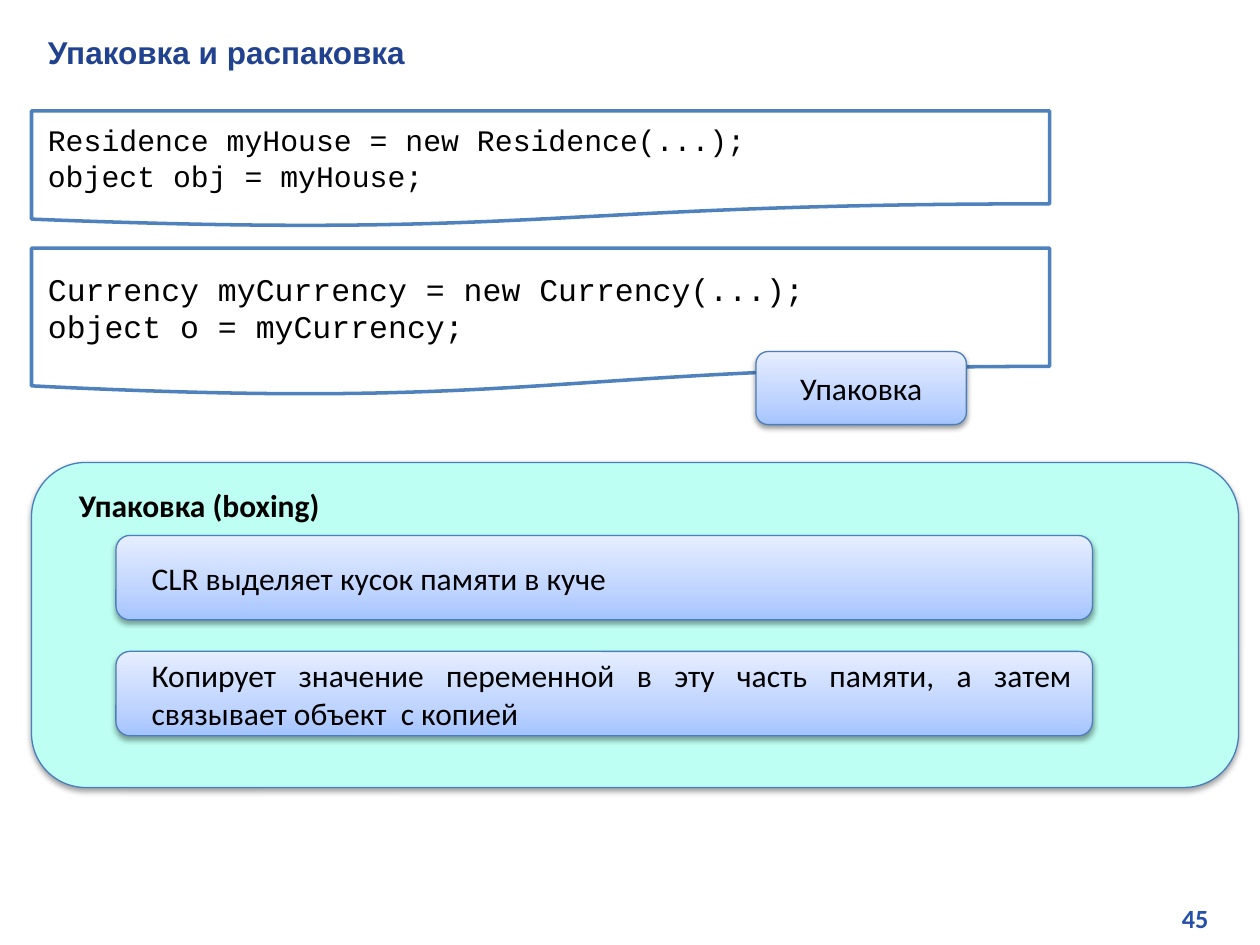
from copy import deepcopy

from lxml.etree import SubElement
from pptx import Presentation
from pptx.dml.color import RGBColor
from pptx.enum.shapes import MSO_SHAPE
from pptx.enum.text import MSO_ANCHOR, PP_ALIGN
from pptx.oxml.ns import qn
from pptx.util import Inches, Pt

COLORS = {
    "title": "21438F",
    "number": "2750AB",
    "text": "000000",
    "code_fill": "FFFFFF",
    "code_line": "4F81BD",
    "panel": "BDFFF2",
    "outline": "4B7EBC",
    "shadow": "000000",
    "gradient_dark": "A4C4FF",
    "gradient_middle": "BFD4FF",
    "gradient_light": "E6EEFF",
}
GRADIENT = [(0, "gradient_dark"), (0.35, "gradient_middle"), (1, "gradient_light")]


def color(name):
    """Return the named colour."""
    return RGBColor.from_string(COLORS[name])


def write(shape, lines, size=18, font="Calibri", ink="text", bold=False,
          align=PP_ALIGN.LEFT, anchor=MSO_ANCHOR.MIDDLE, indent=0):
    """Fill a shape with one formatted paragraph per line."""
    frame = shape.text_frame
    frame.word_wrap = True
    frame.vertical_anchor = anchor
    frame.margin_left = frame.margin_right = Inches(0.13)
    frame.margin_top = frame.margin_bottom = Inches(0.06)
    for index, line in enumerate(lines):
        paragraph = frame.add_paragraph() if index else frame.paragraphs[0]
        paragraph.alignment = align
        if indent:
            properties = paragraph._p.get_or_add_pPr()
            properties.set("marL", str(Inches(indent)))
            properties.set("indent", "0")
        run = paragraph.add_run()
        run.text = line
        run.font.name = font
        run.font.size = Pt(size)
        run.font.bold = bold
        run.font.color.rgb = color(ink)


def add_outlined(slide, kind, box, line, width):
    """Add a preset shape with an outline and no inherited shadow."""
    shape = slide.shapes.add_shape(kind, *map(Inches, box))
    shape.shadow.inherit = False
    shape.line.color.rgb = color(line)
    shape.line.width = Pt(width)
    return shape


def add_title(slide, box, text):
    """Place and format the slide title."""
    title = slide.shapes.title
    title.left, title.top, title.width, title.height = map(Inches, box)
    write(title, [text], font="Arial", ink="title", bold=True, anchor=MSO_ANCHOR.TOP)


def add_code(slide, box, lines, size):
    """Add a document shape holding lines of code."""
    shape = add_outlined(slide, MSO_SHAPE.FLOWCHART_DOCUMENT, box, "code_line", 2)
    shape.fill.solid()
    shape.fill.fore_color.rgb = color("code_fill")
    write(shape, lines, size=size, font="Courier New")


def add_rounded(slide, box):
    """Add a rounded rectangle with a soft shadow below it."""
    shape = add_outlined(slide, MSO_SHAPE.ROUNDED_RECTANGLE, box, "outline", 0.75)
    effects = shape._element.spPr.find(qn("a:effectLst"))
    shadow = SubElement(effects, qn("a:outerShdw"), blurRad=str(Pt(3.1)),
                        dist=str(Pt(1.6)), dir="5400000", rotWithShape="0")
    ink = SubElement(shadow, qn("a:srgbClr"), val=COLORS["shadow"])
    SubElement(ink, qn("a:alpha"), val="38000")
    return shape


def add_card(slide, box, text, align=PP_ALIGN.JUSTIFY, indent=0.12):
    """Add a rounded card with a vertical gradient."""
    card = add_rounded(slide, box)
    card.fill.gradient()
    card.fill.gradient_angle = 90
    stops = card._element.spPr.find(qn("a:gradFill")).find(qn("a:gsLst"))
    stops.insert(1, deepcopy(stops[0]))
    for stop, (position, name) in zip(card.fill.gradient_stops, GRADIENT):
        stop.position = position
        stop.color.rgb = color(name)
    write(card, [text], align=align, indent=indent)


def add_boxing_panel(slide, box, heading, steps):
    """Add the headed panel with its stack of step cards."""
    left, top, width, height = box
    panel = add_rounded(slide, box)
    panel.fill.solid()
    panel.fill.fore_color.rgb = color("panel")
    write(panel, [heading], bold=True, align=PP_ALIGN.JUSTIFY,
          anchor=MSO_ANCHOR.TOP, indent=0.12)
    for index, step in enumerate(steps):
        add_card(slide, (left + 0.67, top + 0.58 + 0.92 * index, width - 1.83, 0.67), step)


def add_page_number(slide, box, number):
    """Add the page number."""
    text_box = slide.shapes.add_textbox(*map(Inches, box))
    write(text_box, [number], size=15, ink="number", bold=True,
          align=PP_ALIGN.RIGHT, anchor=MSO_ANCHOR.TOP)


def main():
    """Build and save the slide."""
    presentation = Presentation()
    presentation.slide_width = Inches(10)
    presentation.slide_height = Inches(7.5)
    slide = presentation.slides.add_slide(presentation.slide_layouts[5])
    add_page_number(slide, (7.6, 7.1, 2.12, 0.38), "45")
    add_title(slide, (0.25, 0.2, 9.54, 0.4), "Упаковка и распаковка")
    add_code(slide, (0.25, 0.88, 8.08, 0.92),
             ["Residence myHouse = new Residence(...);", "object obj = myHouse;"], 17)
    add_code(slide, (0.25, 1.97, 8.08, 1.17),
             ["Currency myCurrency = new Currency(...);", "object o = myCurrency;"], 18)
    add_boxing_panel(slide, (0.25, 3.67, 9.58, 2.58), "Упаковка (boxing)", [
        "CLR выделяет кусок памяти в куче",
        "Копирует значение переменной в эту часть памяти, "
        "а затем связывает объект  с копией",
    ])
    add_card(slide, (6, 2.79, 1.67, 0.58), "Упаковка", PP_ALIGN.CENTER, 0)
    presentation.save("out.pptx")


if __name__ == "__main__":
    main()
